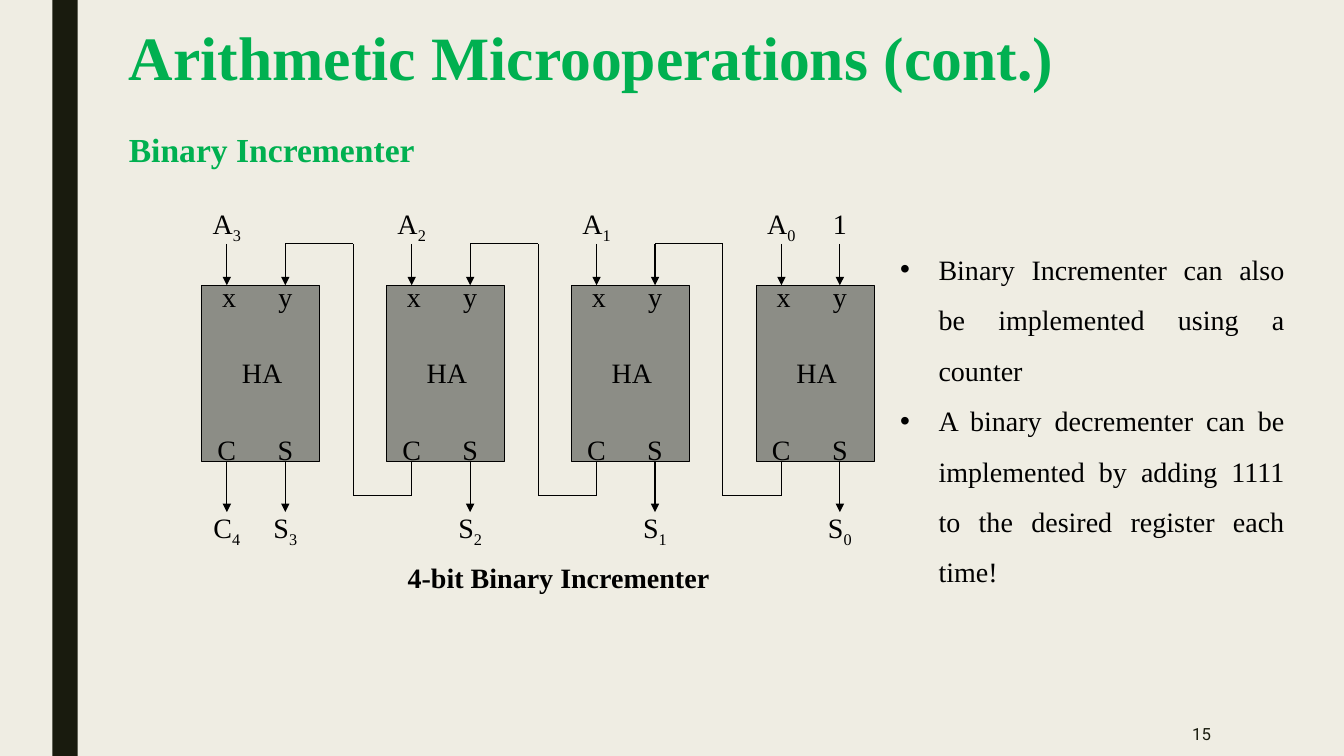
from dataclasses import dataclass
from itertools import pairwise

from lxml import etree
from pptx import Presentation
from pptx.dml.color import RGBColor
from pptx.enum.shapes import MSO_CONNECTOR, MSO_SHAPE
from pptx.enum.text import MSO_ANCHOR, MSO_AUTO_SIZE, PP_ALIGN
from pptx.oxml.ns import qn
from pptx.util import Inches, Pt

RECTANGLE = MSO_SHAPE.RECTANGLE
STRAIGHT = MSO_CONNECTOR.STRAIGHT
GROW = MSO_AUTO_SIZE.SHAPE_TO_FIT_TEXT
TOP, MIDDLE = MSO_ANCHOR.TOP, MSO_ANCHOR.MIDDLE
LEFT, CENTER, RIGHT, JUSTIFY = (PP_ALIGN.LEFT, PP_ALIGN.CENTER,
                                PP_ALIGN.RIGHT, PP_ALIGN.JUSTIFY)


@dataclass(frozen=True)
class Theme:
    background: RGBColor = RGBColor.from_string("EFEDE3")
    dark: RGBColor = RGBColor.from_string("191B0E")
    accent: RGBColor = RGBColor.from_string("00B050")
    adder: RGBColor = RGBColor.from_string("8C8D86")
    ink: RGBColor = RGBColor.from_string("000000")
    serif: str = "Times New Roman"
    sans: str = "Roboto"
    title: int = 44
    heading: int = 24
    body: int = 20
    number: int = 12
    wire: float = 0.75


THEME = Theme()


def style(paragraph, size=THEME.body, color=THEME.ink, bold=False,
          align=CENTER, font=THEME.serif):
    paragraph.alignment = align
    paragraph.font.name = font
    paragraph.font.size = Pt(size)
    paragraph.font.bold = bold
    paragraph.font.color.rgb = color


def add_frame(slide, box, anchor=TOP, grow=False):
    frame = slide.shapes.add_textbox(*map(Inches, box)).text_frame
    frame.word_wrap = True
    frame.vertical_anchor = anchor
    if grow:
        frame.auto_size = GROW
    return frame


def add_label(slide, center, top, text, subscript="", width=0.67, bold=False):
    """One centred line of diagram text, with an optional subscript."""
    box = (center - width / 2, top, width, 0.44)
    paragraph = add_frame(slide, box, grow=True).paragraphs[0]
    style(paragraph, bold=bold)
    paragraph.add_run().text = text
    if subscript:
        index = paragraph.add_run()
        index.text = subscript
        index.font._element.set("baseline", "-25000")


def add_wire(slide, *points, arrow=True):
    """Straight segments through the points, with an arrowhead on the last."""
    for start, end in pairwise(points):
        wire = slide.shapes.add_connector(
            STRAIGHT, *map(Inches, (*start, *end)))
        wire.line.color.rgb = THEME.ink
        wire.line.width = Pt(THEME.wire)
        if arrow and end == points[-1]:
            etree.SubElement(wire.line._get_or_add_ln(), qn("a:tailEnd"),
                             type="triangle")
        etree.SubElement(wire._element.spPr, qn("a:effectLst"))


def add_block(slide, box, color):
    block = slide.shapes.add_shape(RECTANGLE, *map(Inches, box))
    block.shadow.inherit = False
    block.fill.solid()
    block.fill.fore_color.rgb = color
    block.line.fill.background()
    return block


def add_half_adder(slide, left, top, bit):
    """Half adder of one bit, with its ports, inputs and sum output."""
    width, height = 1.17, 1.75
    bottom = top + height
    x_port, y_port = left + 0.25, left + 0.83
    adder = add_block(slide, (left, top, width, height), THEME.adder)
    adder.line.color.rgb = THEME.ink
    adder.line.width = Pt(THEME.wire)

    # Input A and sum output S
    add_wire(slide, (x_port, top - 0.41), (x_port, top))
    add_wire(slide, (y_port, bottom), (y_port, bottom + 0.5))
    add_label(slide, x_port, top - 0.83, "A", str(bit))
    add_label(slide, y_port, bottom + 0.44, "S", str(bit))

    # Port names
    add_label(slide, x_port + 0.02, top - 0.11, "x", width=0.33)
    add_label(slide, y_port, top - 0.11, "y", width=0.5)
    add_label(slide, left + 0.6, top + 0.65, "HA", width=0.75)
    add_label(slide, x_port, bottom - 0.34, "C", width=0.5)
    add_label(slide, y_port, bottom - 0.34, "S", width=0.5)
    return x_port, y_port, bottom


def add_incrementer(slide, left, top, bits=4):
    """Chain of half adders; each carry feeds y of the next higher bit."""
    pitch = 11 / 6
    wire_top = top - 0.41
    for column in range(bits):
        x_port, y_port, bottom = add_half_adder(
            slide, left + column * pitch, top, bits - 1 - column)
        if column == 0:
            # Final carry
            add_wire(slide, (x_port, bottom), (x_port, bottom + 0.5))
            add_label(slide, x_port, bottom + 0.44, "C", str(bits))
        else:
            # Carry to the adder on the left
            carry_y, channel = bottom + 0.34, x_port - 0.58
            target = y_port - pitch
            add_wire(slide, (x_port, bottom), (x_port, carry_y),
                     (channel, carry_y), (channel, wire_top),
                     (target, wire_top), (target, top))
    # Constant 1 into the lowest bit
    add_wire(slide, (y_port, wire_top), (y_port, top))
    add_label(slide, y_port, top - 0.83, "1")
    add_label(slide, left + 3.54, bottom + 0.93, "4-bit Binary Incrementer",
              width=6.08, bold=True)


def add_headings(slide, left, top):
    title = add_frame(slide, (left, top, 9.73, 0.85), MIDDLE).paragraphs[0]
    title.text = "Arithmetic Microoperations (cont.)"
    style(title, THEME.title, THEME.accent, True, LEFT)
    title.line_spacing = 0.89

    topic = add_frame(slide, (left, top + 0.85, 11.77, 5.64)).paragraphs[0]
    topic.text = "Binary Incrementer"
    style(topic, THEME.heading, THEME.accent, True, JUSTIFY)
    topic.line_spacing = 1.5
    topic.space_before, topic.space_after = Pt(10), Pt(2)


def add_notes_list(slide, box, points):
    frame = add_frame(slide, box, grow=True)
    frame.text = "\n".join(points)
    for paragraph in frame.paragraphs:
        style(paragraph, align=JUSTIFY)
        paragraph.line_spacing = 1.5
        properties = paragraph._p.get_or_add_pPr()
        properties.set("marL", str(Inches(0.38)))
        properties.set("indent", str(Inches(-0.38)))
        bullet_font = etree.Element(qn("a:buFont"), typeface="Arial")
        bullet = etree.Element(qn("a:buChar"), char="•")
        properties.find(qn("a:defRPr")).addprevious(bullet_font)
        bullet_font.addnext(bullet)


def add_page_number(slide, box, number):
    paragraph = add_frame(slide, box, MIDDLE).paragraphs[0]
    paragraph.text = str(number)
    style(paragraph, THEME.number, THEME.dark, align=RIGHT, font=THEME.sans)


def main():
    deck = Presentation()
    deck.slide_width, deck.slide_height = Inches(13.33), Inches(7.5)
    slide = deck.slides.add_slide(deck.slide_layouts[6])
    slide.background.fill.solid()
    slide.background.fill.fore_color.rgb = THEME.background

    # Side band
    add_block(slide, (0.52, 0, 0.25, 7.5), THEME.dark)
    add_headings(slide, 1.18, 0.18)
    add_incrementer(slide, 2, 2.83)
    add_notes_list(slide, (8.83, 2.29, 4.01, 2.63), [
        "Binary Incrementer can also be implemented using a counter",
        "A binary decrementer can be implemented by adding 1111 to the "
        "desired register each time!",
    ])
    add_page_number(slide, (10.36, 7.06, 1.75, 0.44), 15)
    deck.save("out.pptx")


if __name__ == "__main__":
    main()
